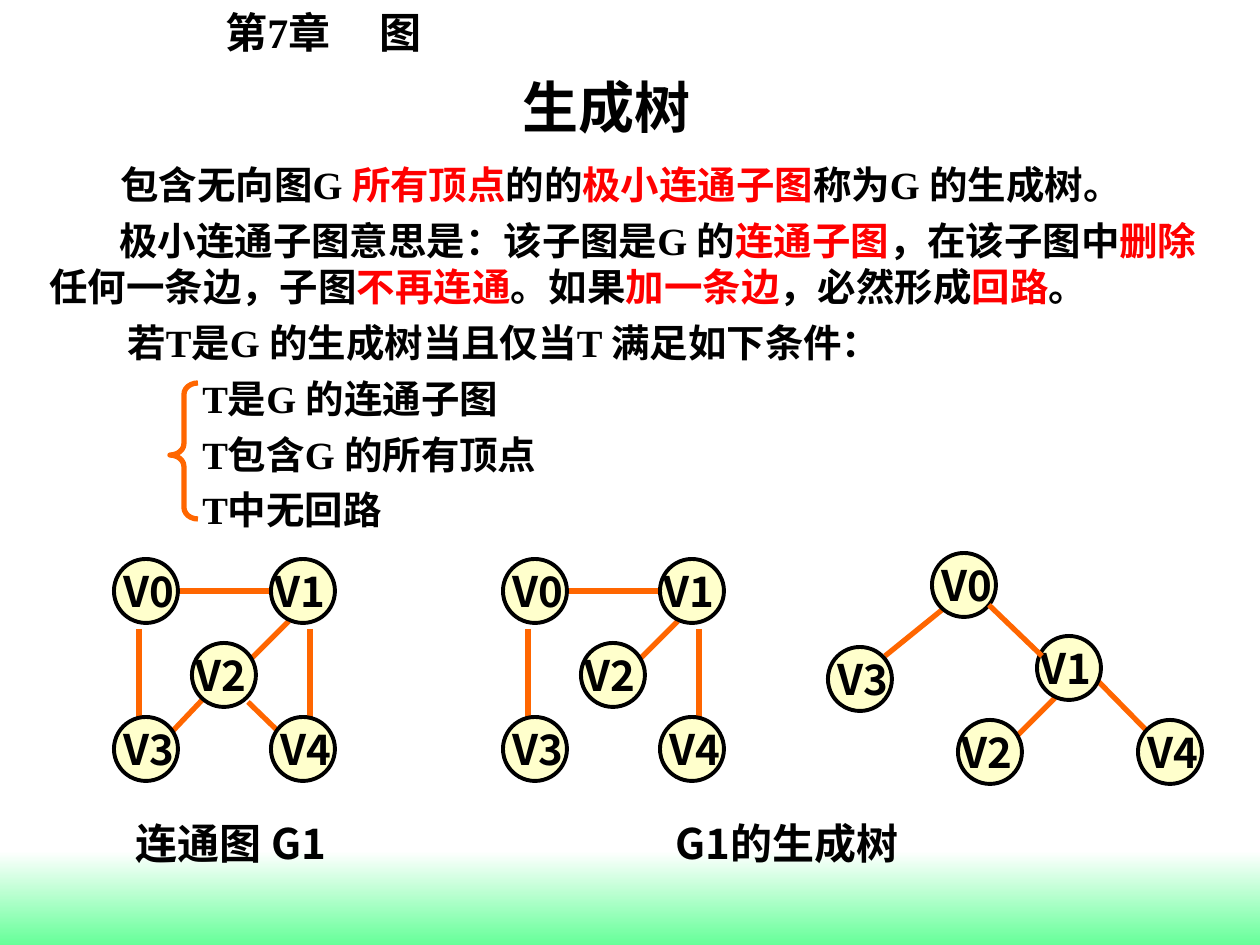
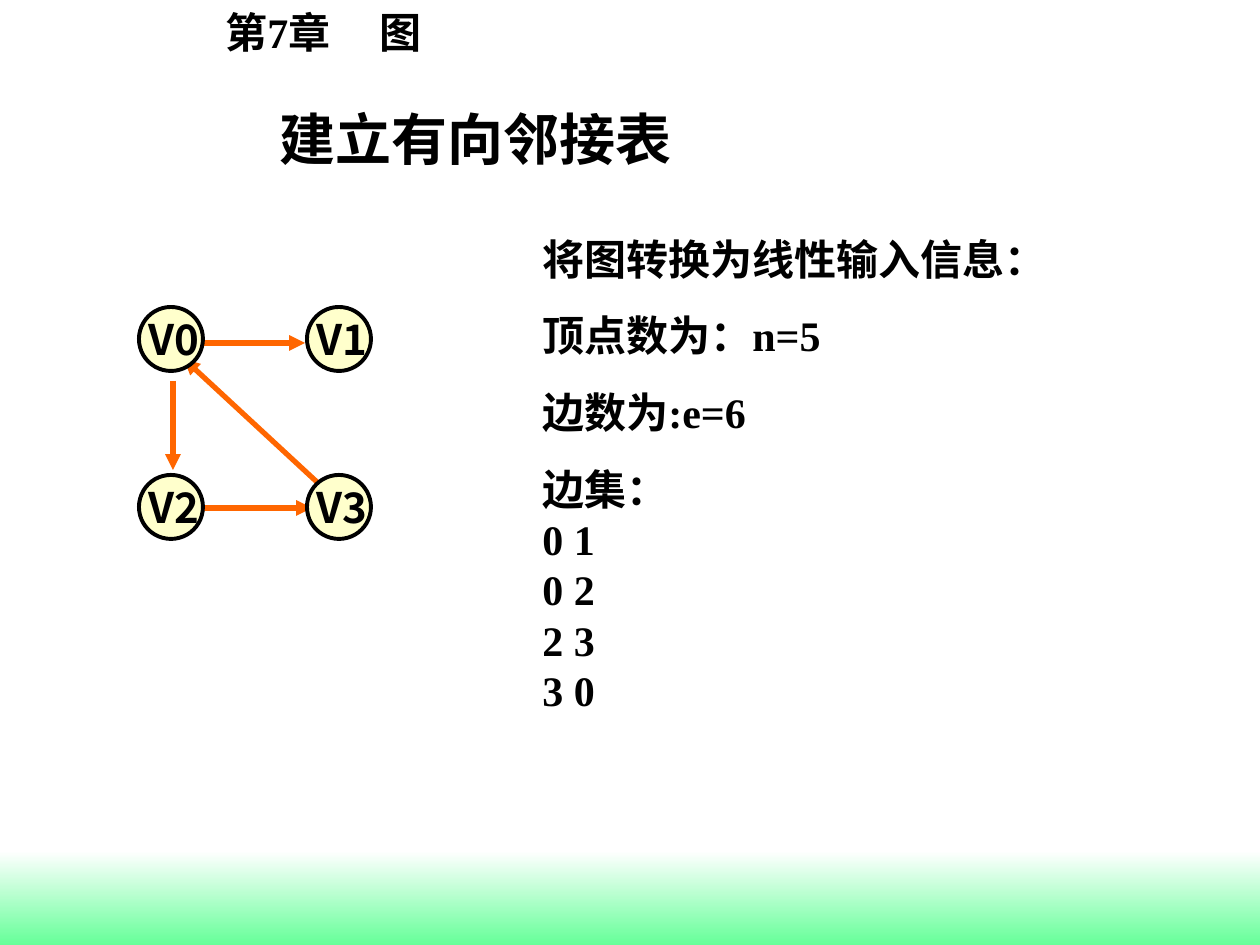
from lxml import etree
from pptx import Presentation
from pptx.dml.color import RGBColor
from pptx.enum.shapes import MSO_CONNECTOR, MSO_SHAPE
from pptx.enum.text import MSO_ANCHOR, PP_ALIGN
from pptx.oxml.ns import qn
from pptx.util import Emu, Pt

STRAIGHT = MSO_CONNECTOR.STRAIGHT
RECTANGLE, OVAL, LEFT_BRACE = MSO_SHAPE.RECTANGLE, MSO_SHAPE.OVAL, MSO_SHAPE.LEFT_BRACE
LEFT, CENTER = PP_ALIGN.LEFT, PP_ALIGN.CENTER
MIDDLE = MSO_ANCHOR.MIDDLE

SCALE = 914400 / 126
SERIF, SANS = "Times New Roman", "Noto Sans CJK SC"
BLACK, RED, ORANGE = "000000", "FF0000", "FF6600"
WHITE, GREEN, CREAM = "FFFFFF", "66FF99", "FFFFCC"
NODE_SIZE = 64


def px(length):
    return Emu(round(length * SCALE))


def color(hex_code):
    return RGBColor.from_string(hex_code)


class Deck:
    def __init__(self):
        self.presentation = Presentation()
        self.presentation.slide_width = px(1260)
        self.presentation.slide_height = px(945)
        self.slide = None

    def new_slide(self):
        self.slide = self.presentation.slides.add_slide(self.presentation.slide_layouts[6])
        band = self.shape(RECTANGLE, 0, 851, 1260, 94)
        band.fill.gradient()
        band.fill.gradient_angle = 270
        for stop, hex_code, position in zip(band.fill.gradient_stops, (WHITE, GREEN), (0, 1)):
            stop.color.rgb = color(hex_code)
            stop.position = position
        band.line.fill.background()
        chapter = self.text(213, 0, 231, 63, ["第7章\t图"], wrap=False)
        tabs = etree.SubElement(chapter.paragraphs[0]._p.get_or_add_pPr(), qn("a:tabLst"))
        etree.SubElement(tabs, qn("a:tab"), pos=str(px(154)), algn="l")

    def shape(self, preset, left, top, width, height):
        shape = self.slide.shapes.add_shape(preset, px(left), px(top), px(width), px(height))
        shape.shadow.inherit = False
        return shape

    def run(self, paragraph, words, size=24, font=SERIF, hex_code=BLACK):
        run = paragraph.add_run()
        run.text = words
        run.font.size = Pt(size)
        run.font.name = font
        run.font.bold = True
        run.font.color.rgb = color(hex_code)

    def text(self, left, top, width, height, paragraphs, size=24, font=SERIF,
             align=LEFT, gaps=None, indents=None, wrap=True):
        frame = self.slide.shapes.add_textbox(px(left), px(top), px(width), px(height)).text_frame
        frame.word_wrap = wrap
        for index, words in enumerate(paragraphs):
            paragraph = frame.paragraphs[0] if index == 0 else frame.add_paragraph()
            paragraph.alignment = align
            if index and gaps:
                paragraph.space_before = Pt(gaps[index])
            if indents:
                paragraph._p.get_or_add_pPr().set("indent", str(px(indents[index])))
            runs = [(words, BLACK)] if isinstance(words, str) else words
            for part, hex_code in runs:
                self.run(paragraph, part, size, font, hex_code)
        return frame

    def title(self, words, left, top, width, height, align=LEFT):
        self.text(left, top, width, height, [words], size=32, align=align)

    def caption(self, words, left):
        self.text(left, 811, 310, 63, [words], font=SANS, align=CENTER)

    def brace(self, left, top, width, height):
        brace = self.shape(LEFT_BRACE, left, top, width, height)
        brace.adjustments[0] = 0.41
        brace.adjustments[1] = 0.53
        brace.fill.background()
        brace.line.color.rgb = color(ORANGE)
        brace.line.width = Pt(3)

    def edge(self, x1, y1, x2, y2, directed=False):
        edge = self.slide.shapes.add_connector(STRAIGHT, px(x1), px(y1), px(x2), px(y2))
        edge.line.color.rgb = color(ORANGE)
        edge.line.width = Pt(3)
        if directed:
            etree.SubElement(edge.line._get_or_add_ln(), qn("a:tailEnd"), type="triangle")
        etree.SubElement(edge._element.spPr, qn("a:effectLst"))

    def node(self, label, left, top, shift):
        node = self.shape(OVAL, left, top, NODE_SIZE, NODE_SIZE)
        node.fill.solid()
        node.fill.fore_color.rgb = color(CREAM)
        node.line.color.rgb = color(BLACK)
        node.line.width = Pt(2.25)
        frame = node.text_frame
        frame.word_wrap = False
        frame.vertical_anchor = MIDDLE
        frame.margin_top = frame.margin_bottom = 0
        frame.margin_left = px(max(2 * shift, 0))
        frame.margin_right = px(max(-2 * shift, 0))
        frame.paragraphs[0].alignment = CENTER
        self.run(frame.paragraphs[0], label, font=SANS)

    def graph(self, left, top, nodes, edges, shifted_left=(), directed=False):
        for x1, y1, x2, y2 in edges:
            self.edge(left + x1, top + y1, left + x2, top + y2, directed)
        for label, (x, y) in nodes.items():
            self.node(label, left + x, top + y, -3 if label in shifted_left else 3)


def spanning_tree_slide(deck):
    deck.new_slide()
    deck.caption("连通图 G1", 76)
    deck.caption("G1的生成树", 632)

    nodes = {"V0": (0, 0), "V4": (157, 158), "V3": (0, 158), "V1": (157, 0), "V2": (78, 84)}
    tree_edges = [(25, 70, 25, 161), (62, 32, 166, 32), (196, 70, 196, 161), (175, 62, 137, 100)]
    cycle_edges = [(91, 138, 55, 176), (134, 143, 166, 174)]
    offset_labels = ("V1", "V2")
    deck.graph(503, 559, nodes, tree_edges, offset_labels)
    deck.graph(114, 559, nodes, tree_edges + cycle_edges, offset_labels)

    rooted_nodes = {"V0": (104, 0), "V4": (310, 167), "V3": (0, 94),
                    "V1": (209, 83), "V2": (130, 167)}
    rooted_edges = [(120, 52, 57, 103), (267, 125, 319, 178), (227, 145, 189, 183)]
    deck.graph(828, 553, rooted_nodes, rooted_edges, offset_labels)
    deck.edge(989, 605, 1042, 656)

    deck.title("生成树", 510, 66, 260, 81)
    definition = [("包含无向图G ", BLACK), ("所有顶点", RED), ("的的", BLACK),
                  ("极小连通子图", RED), ("称为G 的生成树。", BLACK)]
    meaning = [("极小连通子图意思是：该子图是G 的", BLACK), ("连通子图", RED),
               ("，在该子图中", BLACK), ("删除", RED), ("任何一条边，子图", BLACK),
               ("不再连通", RED), ("。如果", BLACK), ("加一条边", RED),
               ("，必然形成", BLACK), ("回路", RED), ("。", BLACK)]
    conditions = ["T是G 的连通子图", "T包含G 的所有顶点", "T中无回路"]
    deck.text(37, 155, 1197, 384,
              [definition, meaning, "若T是G 的生成树当且仅当T 满足如下条件："] + conditions,
              size=22, gaps=[5.5] * 6, indents=[71, 70, 78] + [153] * 3)
    deck.brace(170, 383, 28, 136)


def adjacency_list_slide(deck):
    deck.new_slide()
    deck.title("建立有向邻接表", 73, 98, 805, 158, CENTER)
    edge_set = ["0 1", "0 2", "2 3", "3 0"]
    deck.text(530, 227, 546, 495,
              ["将图转换为线性输入信息：", "顶点数为：n=5", "边数为:e=6", "边集："] + edge_set,
              gaps=[15] * 4 + [0] * 4)
    nodes = {"V0": (0, 0), "V1": (168, 0), "V2": (0, 168), "V3": (168, 168)}
    arrows = [(34, 74, 34, 163), (63, 201, 173, 201), (63, 36, 166, 36), (192, 188, 45, 52)]
    deck.graph(139, 307, nodes, arrows, directed=True)


def main():
    deck = Deck()
    spanning_tree_slide(deck)
    adjacency_list_slide(deck)
    deck.presentation.save("out.pptx")


if __name__ == "__main__":
    main()
